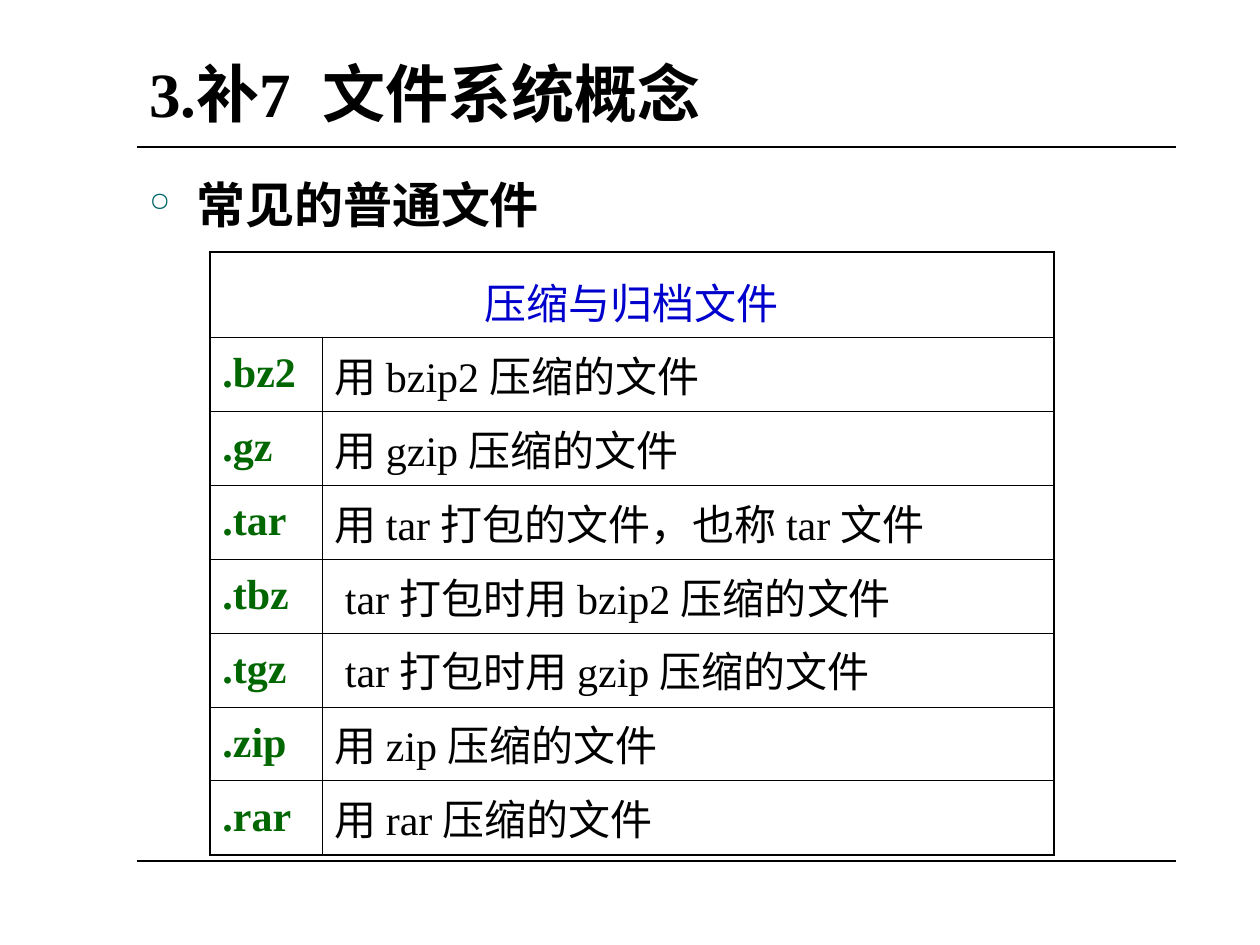
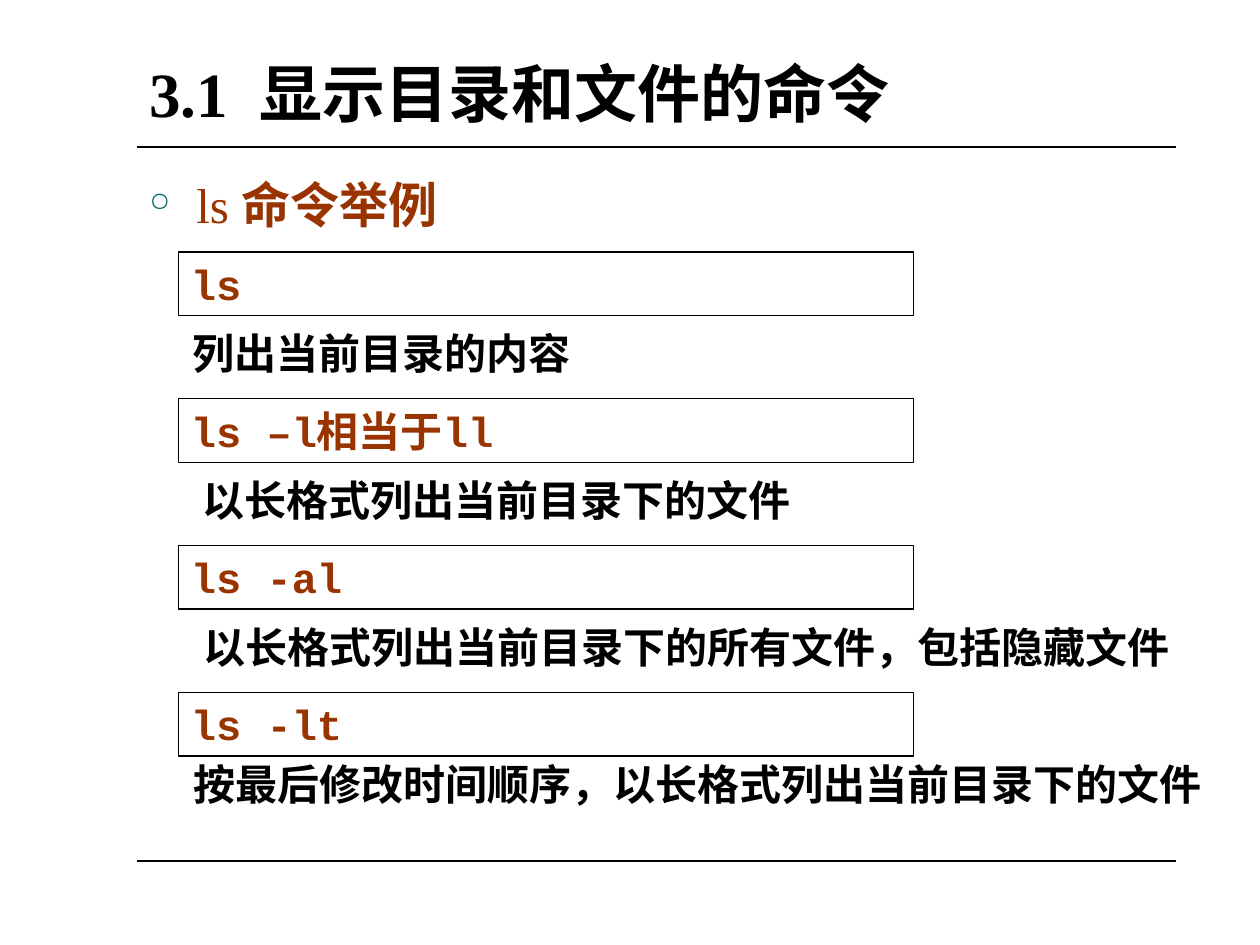
from dataclasses import dataclass
from typing import Any, NamedTuple

import pptx
import pptx.dml.color
import pptx.enum.shapes
import pptx.enum.text
import pptx.oxml.ns
import pptx.util
from lxml import etree
from pptx.util import Cm

ANCHOR = pptx.enum.text.MSO_ANCHOR
AUTO_SIZE = pptx.enum.text.MSO_AUTO_SIZE
ALIGN = pptx.enum.text.PP_ALIGN
qualified = pptx.oxml.ns.qn


# Theme
@dataclass(frozen=True)
class Theme:
    black: str = "000000"
    bullet: str = "006666"
    heading: str = "0000CC"
    extension: str = "006600"
    command: str = "993300"
    serif: str = "Times New Roman"
    mono: str = "Courier New"
    title_size: int = 36
    body_size: int = 28
    detail_size: int = 24
    bullet_percent: int = 54
    thin: float = 0.45
    thick: float = 1.08


THEME = Theme()


class Box(NamedTuple):
    left: float
    top: float
    width: float
    height: float

    def lengths(self) -> list[Cm]:
        return [Cm(value) for value in self]


class TextStyle(NamedTuple):
    size: int
    color: str = THEME.black
    bold: bool = True
    name: str = THEME.serif


class TextPart(NamedTuple):
    text: str
    bold: bool = True


class FileType(NamedTuple):
    extension: str
    meaning: str


class CommandExample(NamedTuple):
    command: str
    caption: str
    caption_left: float
    caption_drop: float = 1.4


# Shared layout, in centimetres
CONTENT_LEFT, CONTENT_WIDTH = 2.76, 20.95
TITLE_BOX = Box(CONTENT_LEFT, 0.85, CONTENT_WIDTH, 1.9)
BODY_BOX = Box(CONTENT_LEFT, 3.39, CONTENT_WIDTH, 13.76)
RULE_TOPS = (2.96, 17.36)
BULLET_INDENT = 0.95
CONTENT_TOP = 5.08

# Table of file types
TABLE_LEFT = 4.23
COLUMN_WIDTHS = (2.26, 14.76)
HEADING_HEIGHT, ROW_HEIGHT = 1.72, 1.485
FILE_TYPES = [
    FileType(".bz2", "用 bzip2 压缩的文件"),
    FileType(".gz", "用 gzip 压缩的文件"),
    FileType(".tar", "用 tar 打包的文件，也称 tar 文件"),
    FileType(".tbz", " tar 打包时用 bzip2 压缩的文件"),
    FileType(".tgz", " tar 打包时用 gzip 压缩的文件"),
    FileType(".zip", "用 zip 压缩的文件"),
    FileType(".rar", "用 rar 压缩的文件"),
]
ROW_HEIGHT = round(ROW_HEIGHT, 2)

# Command examples
COMMAND_LEFT, COMMAND_WIDTH, COMMAND_HEIGHT = 3.6, 14.81, 1.28
COMMAND_PITCH = 2.96
TEXT_INSETS = 0.51
COMMANDS = [
    CommandExample("ls", "列出当前目录的内容", 3.64),
    CommandExample("ls –l相当于ll", "以长格式列出当前目录下的文件", 3.84),
    CommandExample("ls -al", "以长格式列出当前目录下的所有文件，包括隐藏文件", 3.86),
    CommandExample("ls -lt", "按最后修改时间顺序，以长格式列出当前目录下的文件", 3.66, 1.2),
]


def rgb(color: str) -> pptx.dml.color.RGBColor:
    return pptx.dml.color.RGBColor.from_string(color)


def set_fonts(paragraph: Any, style: TextStyle) -> None:
    for font in (paragraph.font, *(run.font for run in paragraph.runs)):
        font.name = style.name
        font.size = pptx.util.Pt(style.size)
        font.bold = style.bold
        font.color.rgb = rgb(style.color)


def write(frame: Any, text: str, style: TextStyle) -> Any:
    paragraph = frame.paragraphs[0]
    paragraph.text = text
    set_fonts(paragraph, style)
    return paragraph


# Parts that both slides share
def add_rule(slide: Any, top: float) -> None:
    rule = slide.shapes.add_connector(
        pptx.enum.shapes.MSO_CONNECTOR.STRAIGHT,
        Cm(CONTENT_LEFT), Cm(top), Cm(CONTENT_LEFT + CONTENT_WIDTH), Cm(top),
    )
    rule.line.color.rgb = rgb(THEME.black)
    rule.line.width = pptx.util.Pt(1)
    etree.SubElement(rule._element.spPr, qualified("a:effectLst"))


def add_bullet(paragraph: Any) -> None:
    properties = paragraph._p.get_or_add_pPr()
    properties.set("marL", str(Cm(BULLET_INDENT)))
    properties.set("indent", str(-Cm(BULLET_INDENT)))
    color = etree.SubElement(properties, qualified("a:buClr"))
    etree.SubElement(color, qualified("a:srgbClr"), val=THEME.bullet)
    size = str(THEME.bullet_percent * 1000)
    etree.SubElement(properties, qualified("a:buSzPct"), val=size)
    etree.SubElement(properties, qualified("a:buChar"), char="○")


def add_slide(presentation: Any, title: str, topic: list[TextPart], color: str) -> Any:
    slide = presentation.slides.add_slide(presentation.slide_layouts[6])
    for top in RULE_TOPS:
        add_rule(slide, top)

    title_frame = slide.shapes.add_textbox(*TITLE_BOX.lengths()).text_frame
    title_frame.word_wrap = True
    title_frame.vertical_anchor = ANCHOR.BOTTOM
    write(title_frame, title, TextStyle(THEME.title_size))

    body_frame = slide.shapes.add_textbox(*BODY_BOX.lengths()).text_frame
    body_frame.word_wrap = True
    paragraph = body_frame.paragraphs[0]
    paragraph.space_before = pptx.util.Pt(7)
    add_bullet(paragraph)
    for part in topic:
        paragraph.add_run().text = part.text
    set_fonts(paragraph, TextStyle(THEME.body_size, color))
    for run, part in zip(paragraph.runs, topic):
        run.font.bold = part.bold
    return slide


# File type table
def set_borders(cell: Any, thick_sides: str) -> None:
    properties = cell._tc.get_or_add_tcPr()
    for index, side in enumerate("LRTB"):
        width = THEME.thick if side in thick_sides else THEME.thin
        line = etree.Element(qualified(f"a:ln{side}"), w=str(pptx.util.Pt(width)))
        fill = etree.SubElement(line, qualified("a:solidFill"))
        etree.SubElement(fill, qualified("a:srgbClr"), val=THEME.black)
        properties.insert(index, line)


def fill_cell(cell: Any, text: str, style: TextStyle, spacing: float) -> Any:
    paragraph = write(cell.text_frame, text, style)
    paragraph.space_before = pptx.util.Pt(6)
    paragraph.line_spacing = spacing
    return paragraph


def add_file_table(slide: Any) -> None:
    row_count = len(FILE_TYPES) + 1
    height = HEADING_HEIGHT + ROW_HEIGHT * len(FILE_TYPES)
    box = Box(TABLE_LEFT, CONTENT_TOP, sum(COLUMN_WIDTHS), height)
    table = slide.shapes.add_table(row_count, 2, *box.lengths()).table
    table.first_row = table.horz_banding = False
    for column, width in zip(table.columns, COLUMN_WIDTHS):
        column.width = Cm(width)
    for index, row in enumerate(table.rows):
        row.height = Cm(ROW_HEIGHT if index else HEADING_HEIGHT)
        edge = "T" if index == 0 else "B" if index == row_count - 1 else ""
        # The merged heading reaches both outer edges
        sides = ("L", "R") if index else ("LR", "LR")
        for cell, side in zip(row.cells, sides):
            cell.fill.background()
            set_borders(cell, side + edge)

    heading = table.cell(0, 0)
    heading.merge(table.cell(0, 1))
    heading_style = TextStyle(THEME.detail_size, THEME.heading, bold=False)
    fill_cell(heading, "压缩与归档文件", heading_style, 1.2).alignment = ALIGN.CENTER

    extension_style = TextStyle(THEME.detail_size, THEME.extension)
    meaning_style = TextStyle(THEME.detail_size, bold=False)
    for index, file_type in enumerate(FILE_TYPES, start=1):
        fill_cell(table.cell(index, 0), file_type.extension, extension_style, 1.15)
        fill_cell(table.cell(index, 1), file_type.meaning, meaning_style, 1.0)


# Framed command with its caption
def add_command(slide: Any, example: CommandExample, top: float) -> None:
    group = slide.shapes.add_group_shape()
    box = Box(COMMAND_LEFT, top, COMMAND_WIDTH, COMMAND_HEIGHT)
    shape = group.shapes.add_shape(
        pptx.enum.shapes.MSO_SHAPE.RECTANGLE, *box.lengths()
    )
    shape.shadow.inherit = False
    shape.fill.background()
    shape.line.color.rgb = rgb(THEME.black)
    shape.line.width = pptx.util.Pt(0.75)
    frame = shape.text_frame
    frame.word_wrap = True
    frame.auto_size = AUTO_SIZE.SHAPE_TO_FIT_TEXT
    frame.vertical_anchor = ANCHOR.TOP
    command_style = TextStyle(THEME.detail_size, THEME.command, name=THEME.mono)
    write(frame, example.command, command_style).alignment = ALIGN.LEFT

    # Each full-width character is as wide as the type size
    text_width = pptx.util.Pt(THEME.detail_size).cm * len(example.caption)
    caption_box = Box(
        example.caption_left, top + example.caption_drop,
        text_width + TEXT_INSETS, COMMAND_HEIGHT,
    )
    caption_frame = group.shapes.add_textbox(*caption_box.lengths()).text_frame
    caption_frame.word_wrap = False
    caption_frame.auto_size = AUTO_SIZE.SHAPE_TO_FIT_TEXT
    write(caption_frame, example.caption, TextStyle(THEME.detail_size))


def main() -> None:
    presentation = pptx.Presentation()
    presentation.slide_width, presentation.slide_height = Cm(25.4), Cm(19.05)

    # Slide 1: common file types
    files_slide = add_slide(
        presentation, "3.补7  文件系统概念", [TextPart("常见的普通文件")], THEME.black
    )
    add_file_table(files_slide)

    # Slide 2: listing commands
    commands_slide = add_slide(
        presentation, "3.1  显示目录和文件的命令",
        [TextPart("ls ", bold=False), TextPart("命令举例")], THEME.command,
    )
    for index, example in enumerate(COMMANDS):
        add_command(commands_slide, example, CONTENT_TOP + index * COMMAND_PITCH)

    presentation.save("out.pptx")


if __name__ == "__main__":
    main()
